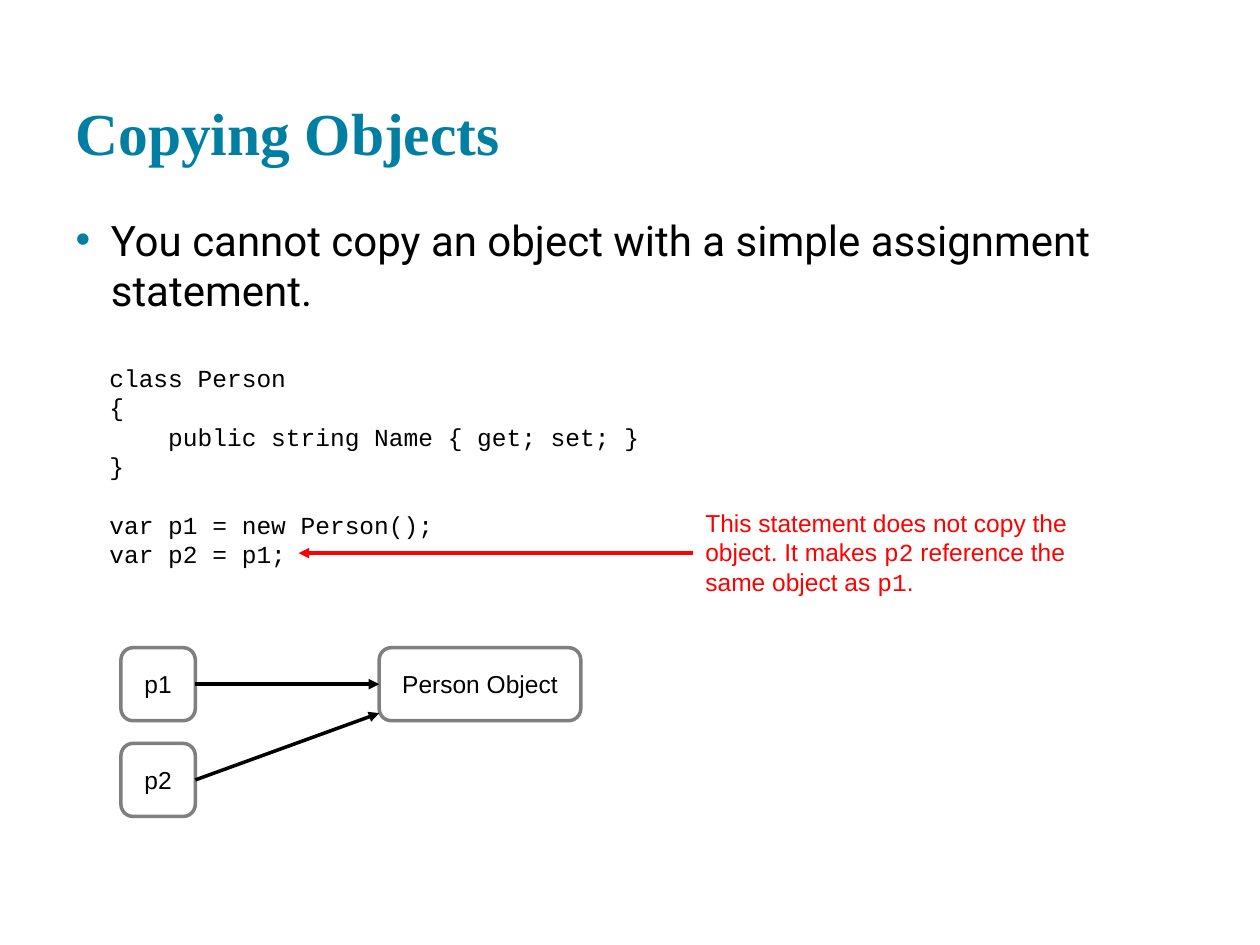
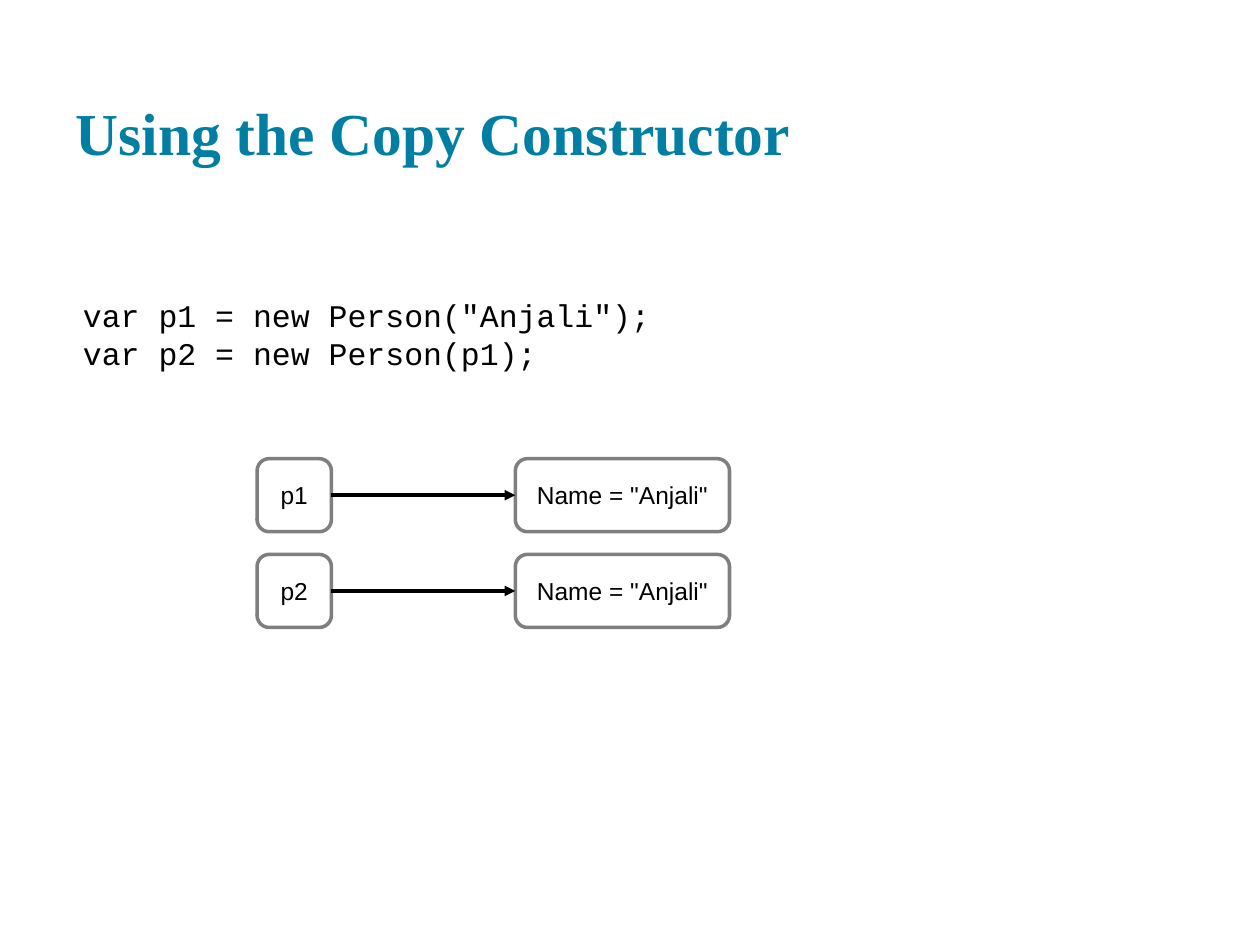
import lxml.etree
import pptx
import pptx.dml.color
import pptx.enum.shapes
import pptx.enum.text
import pptx.oxml.ns
import pptx.util

COLUMNS, ROWS = 100, 75
SLIDE_WIDTH, SLIDE_HEIGHT = pptx.util.Inches(10), pptx.util.Inches(7.5)
TEAL, BLACK, RED, GRAY, WHITE = "007FA3", "000000", "FF0000", "7F7F7F", "FFFFFF"

TITLE = {"name": "Times New Roman", "size": 34, "bold": True, "color": TEAL}
BODY = {"name": "Roboto", "size": 24, "color": BLACK}
CODE = {"name": "Courier New", "size": 14, "color": BLACK}
LARGE_CODE = {**CODE, "size": 18}
LABEL = {"name": "Arial", "size": 14, "color": BLACK}
NOTE = {**LABEL, "color": RED}
NOTE_CODE = {**CODE, "color": RED}

VARIABLE_WIDTH, NODE_HEIGHT = 5.9, 5.8
NODE_PITCH = 7.6
OBJECT_OFFSET = 20.5


def rgb(value):
    return pptx.dml.color.RGBColor.from_string(value)


def across(columns):
    return round(SLIDE_WIDTH * columns / COLUMNS)


def down(rows):
    return round(SLIDE_HEIGHT * rows / ROWS)


def frame(left, top, width, height):
    """Turn grid columns and rows into slide lengths."""
    return across(left), down(top), across(width), down(height)


def add_xml(parent, tag, **attributes):
    return lxml.etree.SubElement(parent, pptx.oxml.ns.qn(tag), **attributes)


def write(para, text, style):
    span = para.add_run()
    span.text = text
    for key, value in style.items():
        if key == "color":
            span.font.color.rgb = rgb(value)
        elif key == "size":
            span.font.size = pptx.util.Pt(value)
        else:
            setattr(span.font, key, value)


def set_indent(para, left, first=0):
    properties = para._p.get_or_add_pPr()
    properties.set("marL", str(across(left)))
    properties.set("indent", str(across(first)))
    return properties


def fill_placeholder(holder, place, text, style, anchor):
    holder.left, holder.top, holder.width, holder.height = frame(*place)
    settings = {"vertical_anchor": anchor, "word_wrap": True,
                "auto_size": pptx.enum.text.MSO_AUTO_SIZE.NONE}
    for side in ("left", "top", "right", "bottom"):
        settings["margin_" + side] = across(1)
    for key, value in settings.items():
        setattr(holder.text_frame, key, value)
    para = holder.text_frame.paragraphs[0]
    para.alignment = pptx.enum.text.PP_ALIGN.LEFT
    write(para, text, style)
    return para


def add_page(deck, layout, title):
    page = deck.slides.add_slide(deck.slide_layouts.get_by_name(layout))
    fill_placeholder(page.shapes.title, (5, 6.6, 90, 7.7), title, TITLE,
                     pptx.enum.text.MSO_ANCHOR.BOTTOM)
    return page


def add_bullet(page, text):
    para = fill_placeholder(page.placeholders[1], (5, 16, 90, 10.1), text, BODY,
                            pptx.enum.text.MSO_ANCHOR.TOP)
    para.space_before = pptx.util.Pt(15)
    properties = set_indent(para, 2.8, -2.8)
    add_xml(add_xml(properties, "a:buClr"), "a:srgbClr", val=TEAL)
    add_xml(properties, "a:buChar", char="•")


def add_text(page, place, lines):
    """Each line is a list of (text, style) pairs."""
    box = page.shapes.add_textbox(*frame(*place))
    box.text_frame.word_wrap = True
    paras = [box.text_frame.paragraphs[0]]
    paras += [box.text_frame.add_paragraph() for _ in lines[1:]]
    for para, spans in zip(paras, lines):
        for text, style in spans:
            write(para, text, style)
    return paras


def add_code(page, place, code, style):
    return add_text(page, place, [[(line, style)] for line in code])


def add_node(page, left, top, width, text):
    node = page.shapes.add_shape(pptx.enum.shapes.MSO_SHAPE.ROUNDED_RECTANGLE,
                                 *frame(left, top, width, NODE_HEIGHT))
    node.shadow.inherit = False
    node.fill.solid()
    node.fill.fore_color.rgb = rgb(WHITE)
    node.line.color.rgb = rgb(GRAY)
    node.line.width = pptx.util.Pt(2)
    node.text_frame.vertical_anchor = pptx.enum.text.MSO_ANCHOR.MIDDLE
    para = node.text_frame.paragraphs[0]
    para.alignment = pptx.enum.text.PP_ALIGN.CENTER
    write(para, text, LABEL)
    return node


def add_arrow(page, start, end, color=BLACK):
    """Each end is a (column, row) point or a node; nodes are joined right to left."""
    points = [(across(stop[0]), down(stop[1])) if isinstance(stop, tuple) else (0, 0)
              for stop in (start, end)]
    arrow = page.shapes.add_connector(pptx.enum.shapes.MSO_CONNECTOR.STRAIGHT,
                                      *points[0], *points[1])
    if not isinstance(start, tuple):
        arrow.begin_connect(start, 3)
    if not isinstance(end, tuple):
        arrow.end_connect(end, 1)
    arrow.line.color.rgb = rgb(color)
    arrow.line.width = pptx.util.Pt(2)
    add_xml(arrow.line._get_or_add_ln(), "a:tailEnd", type="triangle")
    add_xml(arrow._element.spPr, "a:effectLst")


def add_references(page, left, top, object_width, objects):
    """Stack p1 and p2, and point each at the object on its row, if there is one."""
    variables = [add_node(page, left, top + row * NODE_PITCH, VARIABLE_WIDTH, name)
                 for row, name in enumerate(("p1", "p2"))]
    for row, text in enumerate(objects):
        target = add_node(page, left + OBJECT_OFFSET, top + row * NODE_PITCH,
                          object_width, text)
        add_arrow(page, variables[row], target)
    return variables


def build_copying_objects(deck):
    page = add_page(deck, "Title and Content", "Copying Objects")
    add_bullet(page, "You cannot copy an object with a simple assignment statement.")
    code = add_code(page, (7.7, 28.3, 44.4, 17.5), [
        "class Person", "{", "public string Name { get; set; }", "}",
        "var p1 = new Person();", "var p2 = p1;"], CODE)
    set_indent(code[2], 4.67)
    code[4].space_before = pptx.util.Pt(16.8)
    add_text(page, (55, 39.8, 31.3, 8.1), [[
        ("This statement does not copy the object. It makes ", NOTE),
        ("p2", NOTE_CODE), (" reference the same object as ", NOTE),
        ("p1", NOTE_CODE), (".", NOTE)]])
    add_arrow(page, (55, 43.9), (23.7, 43.9), RED)
    left, top = 9.6, 51.4
    p2 = add_references(page, left, top, 16, ["Person Object"])[1]
    add_arrow(page, p2, (left + OBJECT_OFFSET, top + 5.2))


def build_copy_constructor(deck):
    page = add_page(deck, "Title Only", "Using the Copy Constructor")
    add_code(page, (5.6, 23, 82.2, 7.1), [
        'var p1 = new Person("Anjali");', "var p2 = new Person(p1);"], LARGE_CODE)
    add_references(page, 20.4, 36.4, 17, ['Name = "Anjali"'] * 2)


def main():
    deck = pptx.Presentation()
    deck.slide_width, deck.slide_height = SLIDE_WIDTH, SLIDE_HEIGHT
    build_copying_objects(deck)
    build_copy_constructor(deck)
    deck.save("out.pptx")


if __name__ == "__main__":
    main()
